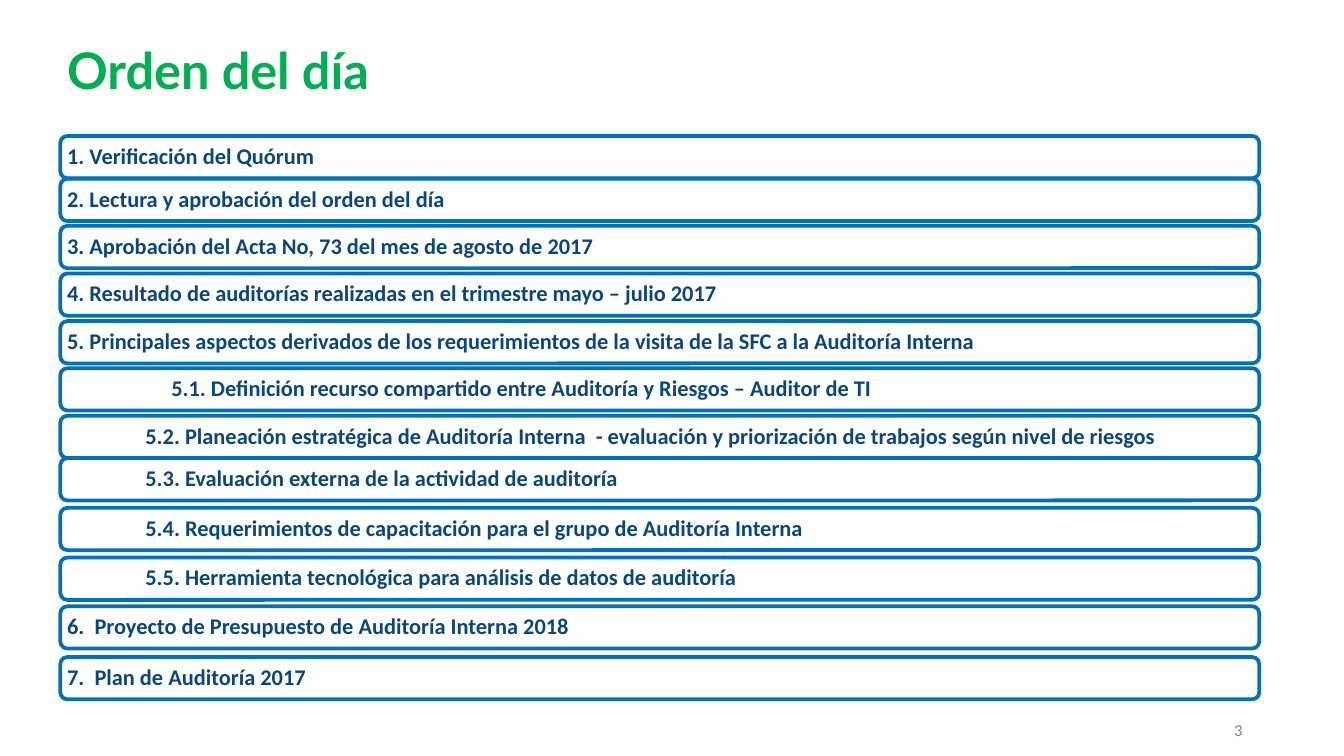
from pptx import Presentation, util as u
from pptx.dml import color
from pptx.enum import shapes, text

COLOURS = {"title": "00B050", "border": "0070C0", "item": "094784", "number": "848484"}

# Top edge (cm), text indent (cm) and wording of each agenda row
AGENDA = [
    (2.57, 0, "1. Verificación del Quórum"),
    (3.38, 0, "2. Lectura y aprobación del orden del día"),
    (4.27, 0, "3. Aprobación del Acta No, 73 del mes de agosto de 2017"),
    (5.17, 0, "4. Resultado de auditorías realizadas en el trimestre mayo – julio 2017"),
    (6.07, 0, "5. Principales aspectos derivados de los requerimientos de la visita "
              "de la SFC a la Auditoría Interna"),
    (6.96, 1.97, "5.1. Definición recurso compartido entre Auditoría y Riesgos – Auditor de TI"),
    (7.86, 1.48, "5.2. Planeación estratégica de Auditoría Interna  - evaluación y "
                 "priorización de trabajos según nivel de riesgos"),
    (8.66, 1.48, "5.3. Evaluación externa de la actividad de auditoría"),
    (9.6, 1.48, "5.4. Requerimientos de capacitación para el grupo de Auditoría Interna"),
    (10.54, 1.48, "5.5. Herramienta tecnológica para análisis de datos de auditoría"),
    (11.46, 0, "6.  Proyecto de Presupuesto de Auditoría Interna 2018"),
    (12.42, 0, "7.  Plan de Auditoría 2017"),
]


def set_all(target, values):
    for name, value in values.items():
        setattr(target, name, value)


def write(shape, wording, colour, font, left=0.0, right=0.0,
          anchor=text.MSO_ANCHOR.MIDDLE, align=text.PP_ALIGN.LEFT, spacing=1.0):
    frame = shape.text_frame
    set_all(frame, {"word_wrap": True, "vertical_anchor": anchor,
                    "margin_left": u.Cm(left), "margin_right": u.Cm(right),
                    "margin_top": 0, "margin_bottom": 0})
    para = frame.paragraphs[0]
    set_all(para, {"alignment": align, "line_spacing": spacing})
    span = para.add_run()
    span.text = wording
    set_all(span.font, font)
    span.font.color.rgb = color.RGBColor.from_string(COLOURS[colour])


def add_title(page, box):
    title = page.shapes.add_textbox(*map(u.Cm, box))
    write(title, "Orden del día", "title",
          {"name": "Lato", "size": u.Pt(27), "bold": True}, left=0.48, right=0.48)


def add_agenda(page, left, width, row_height):
    for top, indent, wording in AGENDA:
        row = page.shapes.add_shape(shapes.MSO_SHAPE.ROUNDED_RECTANGLE,
                                    *map(u.Cm, (left, top, width, row_height)))
        row.shadow.inherit = False
        row.fill.background()
        row.line.color.rgb = color.RGBColor.from_string(COLOURS["border"])
        row.line.width = u.Pt(2)
        write(row, wording, "item",
              {"name": "Calibri", "size": u.Pt(12), "bold": True},
              left=0.09 + indent, right=0.09, spacing=0.9)


def add_page_number(page, box):
    number = page.shapes.add_textbox(*map(u.Cm, box))
    write(number, "3", "number", {"name": "Lato", "size": u.Pt(8)},
          anchor=text.MSO_ANCHOR.BOTTOM, align=text.PP_ALIGN.RIGHT)


def main():
    deck = Presentation()
    set_all(deck, {"slide_width": u.Cm(25.4), "slide_height": u.Cm(14.29)})
    page = deck.slides.add_slide(deck.slide_layouts[6])
    add_page_number(page, (22.68, 13.64, 0.81, 0.33))
    add_agenda(page, left=1.14, width=22.66, row_height=0.8)
    add_title(page, (0.79, 0.56, 17.27, 1.5))
    deck.save("out.pptx")


if __name__ == "__main__":
    main()
